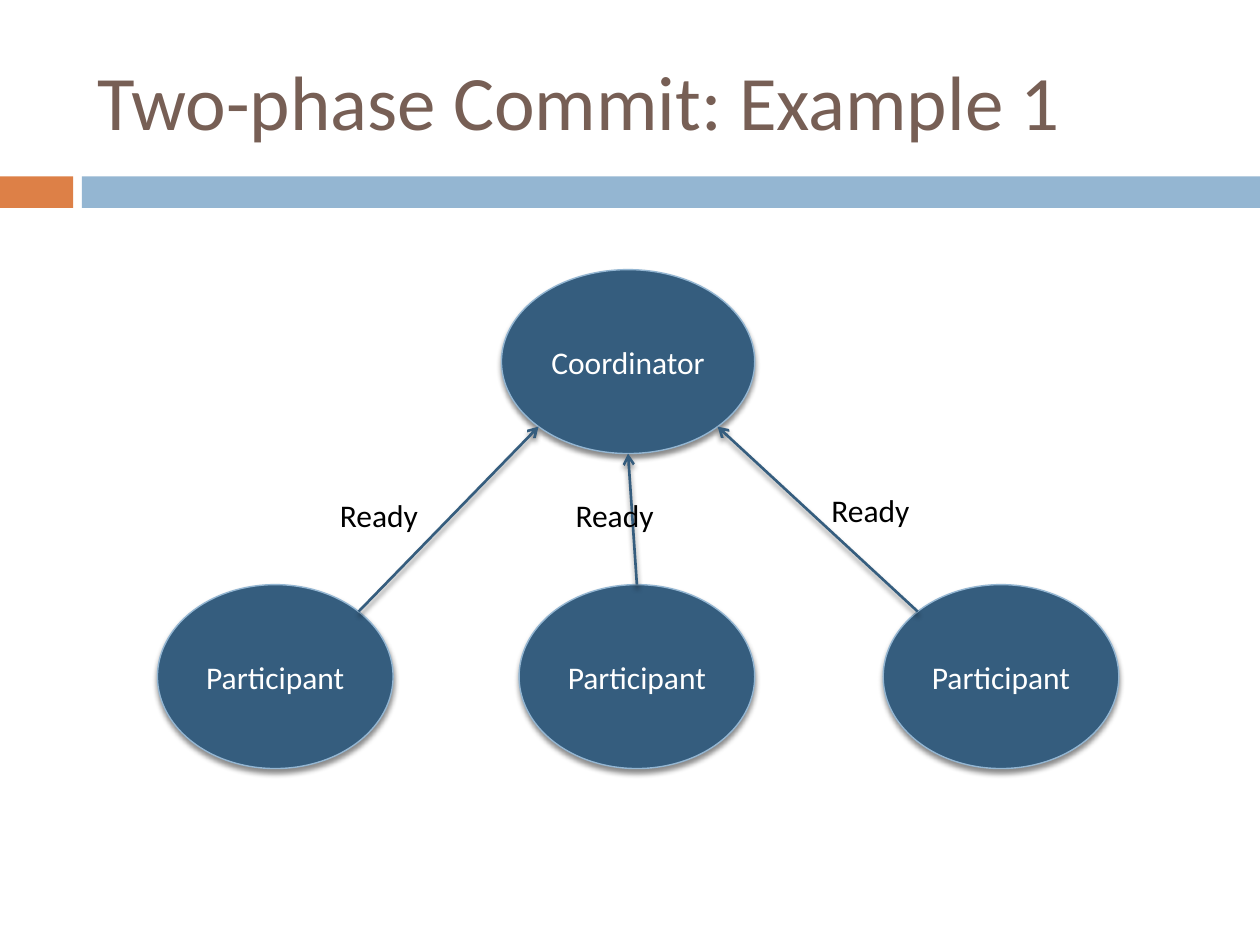
from dataclasses import dataclass
from math import cos, radians, sin

from lxml import etree
from pptx import Presentation
from pptx.dml.color import RGBColor
from pptx.enum.shapes import MSO_CONNECTOR, MSO_SHAPE
from pptx.enum.text import MSO_ANCHOR, MSO_AUTO_SIZE, PP_ALIGN
from pptx.oxml import parse_xml
from pptx.oxml.ns import nsdecls, qn
from pptx.util import Inches, Pt

RECT, OVAL = MSO_SHAPE.RECTANGLE, MSO_SHAPE.OVAL
LINE = MSO_CONNECTOR.STRAIGHT
LEFT, CENTER = PP_ALIGN.LEFT, PP_ALIGN.CENTER
TOP, MIDDLE = MSO_ANCHOR.TOP, MSO_ANCHOR.MIDDLE
FIXED, GROW = MSO_AUTO_SIZE.NONE, MSO_AUTO_SIZE.SHAPE_TO_FIT_TEXT


@dataclass(frozen=True)
class Theme:
    font: str = "Calibri"
    head: str = "775F55"
    accent: str = "DD8047"
    pale: str = "94B6D2"
    deep: str = "355D7E"
    light: str = "FFFFFF"
    dark: str = "000000"
    title: int = 44
    body: int = 18
    edge: float = 0.79
    arrow: float = 1.5


def write(frame, text, color, font, size, align=LEFT, anchor=TOP, wrap=True, fit=FIXED):
    frame.word_wrap = wrap
    frame.auto_size = fit
    frame.vertical_anchor = anchor
    para = frame.paragraphs[0]
    para.alignment = align
    run = para.add_run()
    run.text = text
    run.font.name = font
    run.font.size = Pt(size)
    run.font.color.rgb = RGBColor.from_string(color)


def shade(item, color):
    props = item._element.spPr
    for old in props.findall(qn("a:effectLst")):
        props.remove(old)
    props.append(parse_xml(
        f'<a:effectLst {nsdecls("a")}>'
        f'<a:outerShdw blurRad="{Pt(3)}" dist="{Pt(2.4)}" dir="5400000" rotWithShape="0">'
        f'<a:srgbClr val="{color}"><a:alpha val="45000"/></a:srgbClr>'
        '</a:outerShdw></a:effectLst>'))


def rim(box, angle):
    left, top, width, height = box
    turn = radians(angle)
    return left + width / 2 * (1 + cos(turn)), top + height / 2 * (1 + sin(turn))


class Deck:
    def __init__(self, theme):
        self.theme = theme
        self.show = Presentation()
        self.show.slide_width = Inches(10)
        self.show.slide_height = Inches(7.5)
        self.slide = self.show.slides.add_slide(self.show.slide_layouts[5])

    def title(self, text, box):
        t = self.theme
        holder = self.slide.shapes.title
        holder.left, holder.top, holder.width, holder.height = map(Inches, box)
        write(holder.text_frame, text, t.head, t.font, t.title, anchor=MIDDLE)

    def shape(self, kind, box, color):
        item = self.slide.shapes.add_shape(kind, *map(Inches, box))
        item.shadow.inherit = False
        item.fill.solid()
        item.fill.fore_color.rgb = RGBColor.from_string(color)
        return item

    def bar(self, box, color):
        self.shape(RECT, box, color).line.fill.background()

    def node(self, text, box):
        t = self.theme
        item = self.shape(OVAL, box, t.deep)
        item.line.color.rgb = RGBColor.from_string(t.pale)
        item.line.width = Pt(t.edge)
        shade(item, t.dark)
        write(item.text_frame, text, t.light, t.font, t.body, align=CENTER, anchor=MIDDLE)

    def arrow(self, start, end):
        t = self.theme
        item = self.slide.shapes.add_connector(LINE, *map(Inches, (*start, *end)))
        item.line.color.rgb = RGBColor.from_string(t.deep)
        item.line.width = Pt(t.arrow)
        etree.SubElement(item.line._get_or_add_ln(), qn("a:tailEnd"), type="arrow")
        shade(item, t.dark)

    def label(self, text, box):
        t = self.theme
        item = self.slide.shapes.add_textbox(*map(Inches, box))
        write(item.text_frame, text, t.dark, t.font, t.body, wrap=False, fit=GROW)


def main():
    theme = Theme()
    deck = Deck(theme)
    deck.bar((0, 1.4, 0.58, 0.25), theme.accent)
    deck.bar((0.65, 1.4, 9.35, 0.25), theme.pale)
    deck.title("Two-phase Commit: Example 1", (0.67, 0.25, 8.92, 1.08))

    hub = (3.98, 2.14, 2.01, 1.46)
    deck.node("Coordinator", hub)
    peers = [(left, 4.64, 1.87, 1.46) for left in (1.25, 4.12, 7.01)]
    for peer in peers:
        deck.node("Participant", peer)
    for peer, leave, reach in zip(peers, (-45, -90, -135), (135, 90, 45)):
        deck.arrow(rim(peer, leave), rim(hub, reach))
    for left, top in ((2.6, 3.89), (4.47, 3.89), (6.5, 3.85)):
        deck.label("Ready", (left, top, 0.84, 0.4))

    deck.show.save("out.pptx")


if __name__ == "__main__":
    main()
